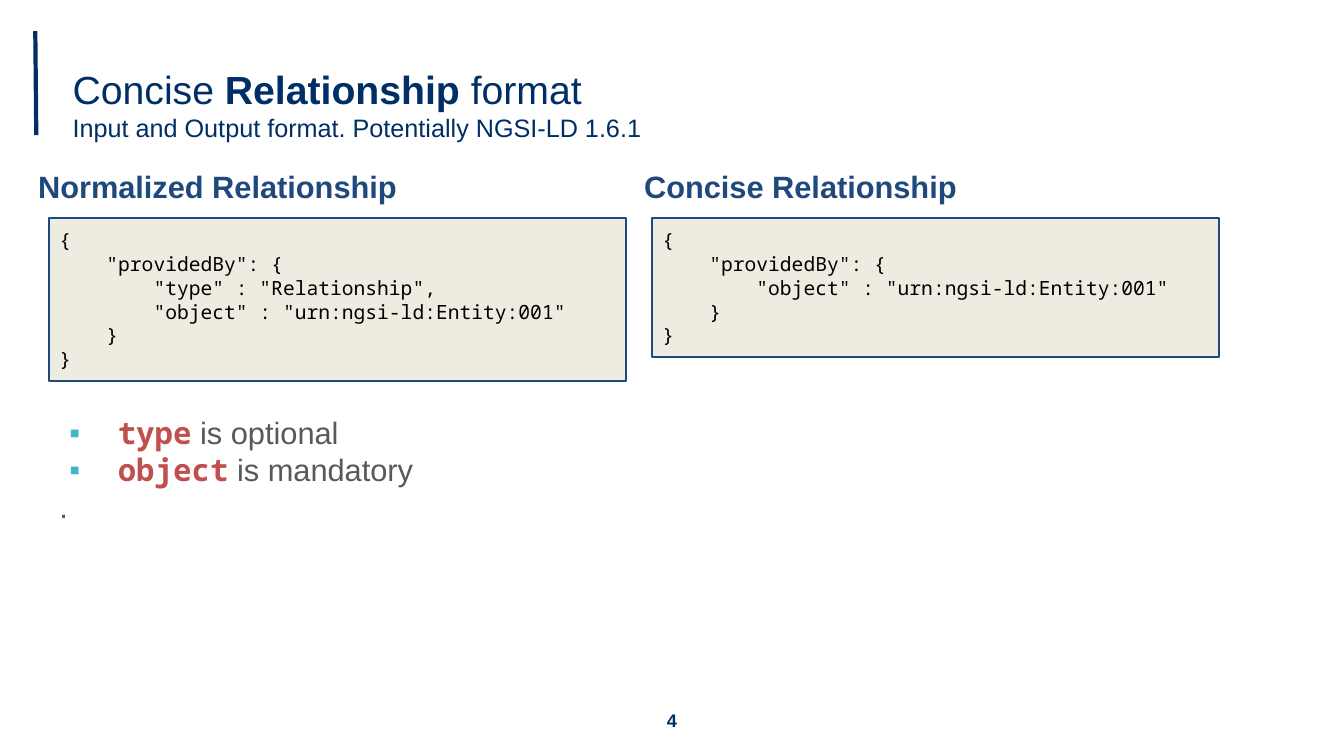
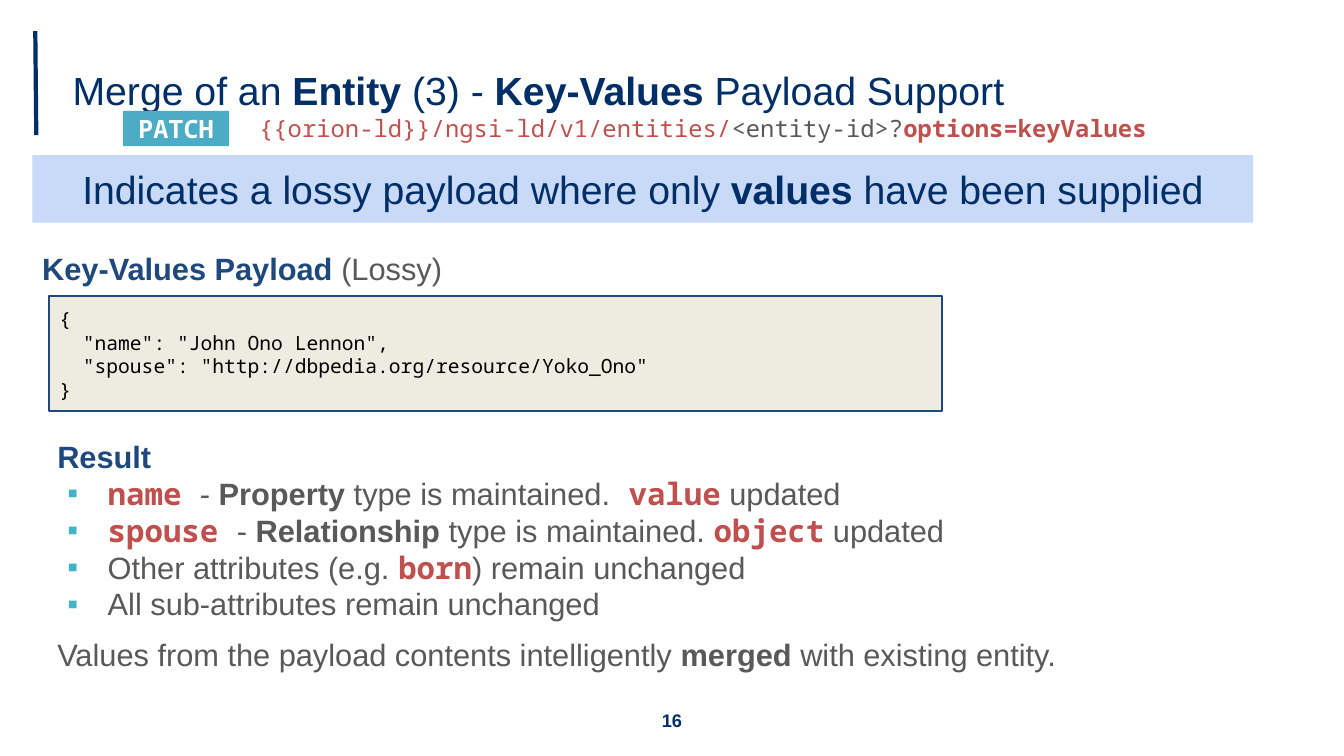
"""Build two slides on NGSI-LD relationship formats and merging entities."""
from lxml import etree
from pptx import Presentation
from pptx import util as u
from pptx.dml.color import RGBColor
from pptx.enum import shapes, text
from pptx.oxml.ns import qn

PX = 9144  # EMU
NAVY, BLUE, GREY, RED = "002E67", "1F497D", "595959", "C0504D"
TEAL, BULLET, CREAM, PALE = "4BACC6", "41B4C7", "EEECE1", "C9DAF8"
BLACK, WHITE = "000000", "FFFFFF"
SANS, MONO = "Arial", "Noto Sans Mono"
BODY_LEADING, CODE_LEADING = 26.4, 17
LEFT, CENTER = text.PP_ALIGN.LEFT, text.PP_ALIGN.CENTER
TOP, MIDDLE = text.MSO_ANCHOR.TOP, text.MSO_ANCHOR.MIDDLE
paint = RGBColor.from_string


def add_box(page, rect, fill=None, line=None, inset=5, anchor=TOP):
    """Add a text box, or a rectangle when a fill is given, and return its frame."""
    place = [n * PX for n in rect]
    if fill:
        box = page.shapes.add_shape(shapes.MSO_SHAPE.RECTANGLE, *place)
        box.shadow.inherit = False
        box.fill.solid()
        box.fill.fore_color.rgb = paint(fill)
        if line:
            box.line.color.rgb = paint(line)
            box.line.width = u.Pt(1.5)
        else:
            box.line.fill.background()
    else:
        box = page.shapes.add_textbox(*place)
    frame = box.text_frame
    frame.word_wrap = True
    frame.vertical_anchor = anchor
    frame.margin_left = frame.margin_right = 10 * PX
    frame.margin_top = frame.margin_bottom = inset * PX
    return frame


def write(frame, runs, size, color, font=SANS, bold=False, align=LEFT,
          leading=None, indent=0, bullet=0, before=0):
    """Append a paragraph of (text, overrides) runs, or of one plain string."""
    para = frame.paragraphs[0]
    if para.runs:
        para = frame.add_paragraph()
    props = para._p.get_or_add_pPr()
    if indent:
        props.set("marL", str(indent * PX))
        props.set("indent", str(-bullet * PX))
    para.alignment = align
    if leading:
        para.line_spacing = u.Pt(leading)
    if before:
        para.space_before = u.Pt(before)
    if bullet:
        tint = etree.SubElement(props, qn("a:buClr"))
        etree.SubElement(tint, qn("a:srgbClr"), val=BULLET)
        etree.SubElement(props, qn("a:buFont"), typeface=SANS)
        etree.SubElement(props, qn("a:buChar"), char="▪")
    para.font.size = u.Pt(size)
    para.font.name = font
    para.font.bold = bold
    para.font.color.rgb = paint(color)
    for words, changes in [(runs, {})] if isinstance(runs, str) else runs:
        span = para.add_run()
        span.text = words
        if "font" in changes:
            span.font.name = changes["font"]
        if "bold" in changes:
            span.font.bold = changes["bold"]
        if "color" in changes:
            span.font.color.rgb = paint(changes["color"])


PLAIN, BOLD = {}, {"bold": True}
TERM = {"font": MONO, "bold": True, "color": RED}

deck = Presentation()
deck.slide_width, deck.slide_height = 1333 * PX, 750 * PX

titles = [
    ("4", [("Concise ", PLAIN), ("Relationship", BOLD), (" format", PLAIN)]),
    ("16", [("Merge of an ", PLAIN), ("Entity", BOLD), (" (3) - ", PLAIN),
            ("Key-Values", BOLD), (" Payload Support", PLAIN)]),
]
pages = []
for number, title in titles:
    page = deck.slides.add_slide(deck.slide_layouts[5])
    pages.append(page)
    rule = page.shapes.add_connector(
        shapes.MSO_CONNECTOR.STRAIGHT, 36 * PX, 134 * PX, 35 * PX, 31 * PX)
    rule.line.color.rgb = paint(NAVY)
    rule.line.width = u.Pt(3)
    etree.SubElement(rule._element.spPr, qn("a:effectLst"))
    heading = page.shapes.title
    heading.left, heading.top, heading.width, heading.height = (
        n * PX for n in (62, 31, 1230, 145))
    heading.text_frame.vertical_anchor = MIDDLE
    write(heading.text_frame, title, 28, NAVY)
    footer = add_box(page, (591, 695, 151, 40), anchor=MIDDLE)
    write(footer, number, 13, NAVY, bold=True, align=CENTER)

concise, merge = pages
write(concise.shapes.title.text_frame,
      "Input and Output format. Potentially NGSI-LD 1.6.1", 18, NAVY)
write(merge.shapes.title.text_frame,
      [("{{orion-ld}}/ngsi-ld/v1/entities/", PLAIN),
       ("<entity-id>?", {"color": GREY}), ("options=keyValues", BOLD)],
      17, RED, MONO, indent=185)

subheads = [
    (concise, (28, 161, 590, 45), [("Normalized Relationship", BOLD)]),
    (concise, (629, 161, 590, 45), [("Concise Relationship", BOLD)]),
    (merge, (32, 243, 500, 45),
     [("Key-Values Payload ", BOLD), ("(Lossy)", {"color": GREY})]),
]
for page, rect, runs in subheads:
    write(add_box(page, rect), runs, 22, BLUE, leading=BODY_LEADING)

listings = [
    (concise, (49, 216, 572, 162), """{
    "providedBy": {
        "type" : "Relationship",
        "object" : "urn:ngsi-ld:Entity:001"
    }
}"""),
    (concise, (647, 216, 562, 138), """{
    "providedBy": {
        "object" : "urn:ngsi-ld:Entity:001"
    }
}"""),
    (merge, (49, 294, 885, 114), """{
  "name": "John Ono Lennon",
  "spouse": "http://dbpedia.org/resource/Yoko_Ono"
}"""),
]
for page, rect, code in listings:
    frame = add_box(page, rect, CREAM, BLUE, inset=10)
    for row in code.splitlines():
        write(frame, row, 14, BLACK, MONO, leading=CODE_LEADING)

notes = add_box(concise, (49, 406, 562, 145))
for term, rule_text in [("type", " is optional"), ("object", " is mandatory")]:
    write(notes, [(term, TERM), (rule_text, PLAIN)], 22, GREY,
          leading=BODY_LEADING, indent=58, bullet=48)
write(notes, ".", 22, GREY, leading=BODY_LEADING)

method = add_box(merge, (122, 110, 105, 35), TEAL, inset=0, anchor=MIDDLE)
write(method, "PATCH", 18, WHITE, MONO, bold=True, align=CENTER)

banner = add_box(merge, (32, 154, 1211, 67), PALE, inset=10)
write(banner, [("Indicates a lossy payload where only ", PLAIN), ("values", BOLD),
               (" have been supplied", PLAIN)], 28, NAVY, align=CENTER)

result = add_box(merge, (47, 429, 1230, 245))
write(result, "Result", 22, BLUE, bold=True, leading=BODY_LEADING)
outcomes = [
    [("name ", TERM), ("- ", PLAIN), ("Property", BOLD),
     (" type is maintained.", PLAIN), (" value", TERM), (" updated", PLAIN)],
    [("spouse ", TERM), ("- ", PLAIN), ("Relationship", BOLD),
     (" type is maintained. ", PLAIN), ("object", TERM), (" updated", PLAIN)],
    [("Other attributes (e.g. ", PLAIN), ("born", TERM),
     (") remain unchanged", PLAIN)],
    "All sub-attributes remain unchanged",
]
for runs in outcomes:
    write(result, runs, 22, GREY, leading=BODY_LEADING, indent=50, bullet=40)
write(result, [("Values from the payload contents intelligently ", PLAIN),
               ("merged", BOLD), (" with existing entity.", PLAIN)],
      22, GREY, leading=BODY_LEADING, before=10)

deck.save("out.pptx")
